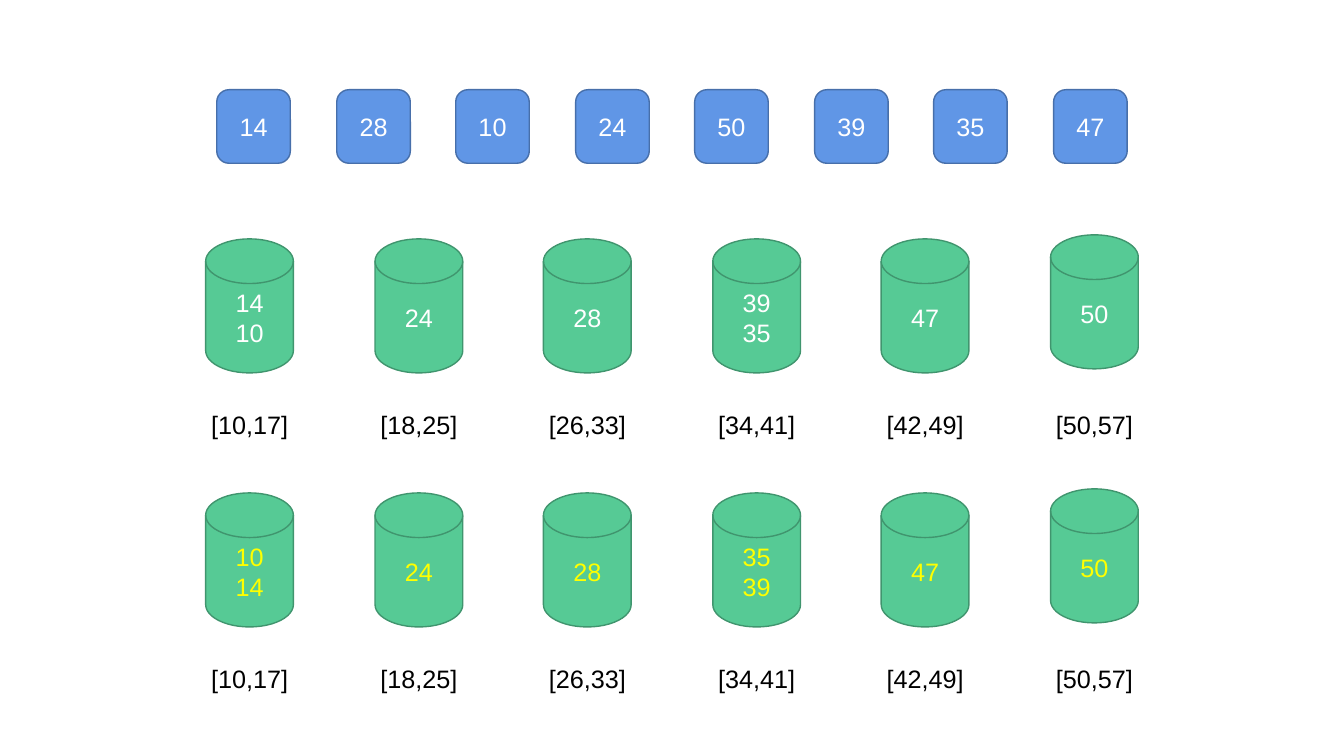
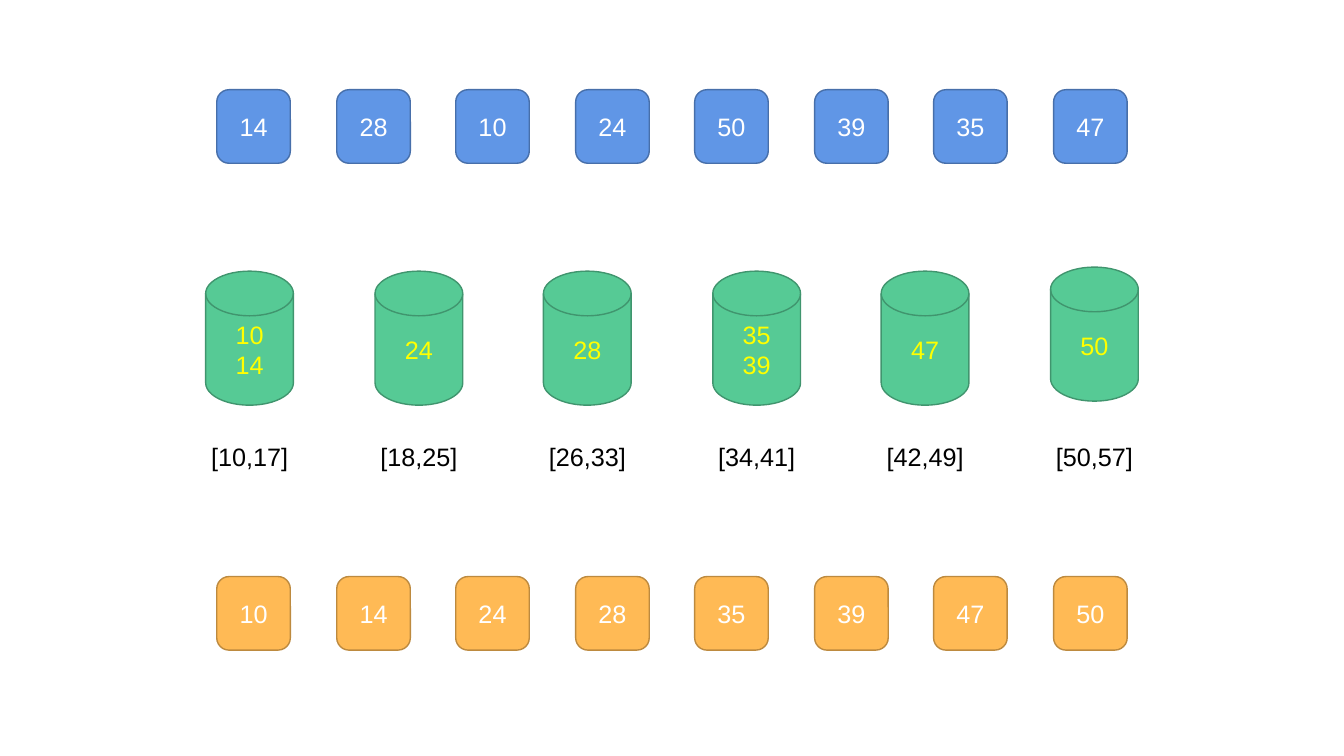
"""Build two slides that explain bucket sort."""
from dataclasses import dataclass

from pptx import Presentation
from pptx.dml.color import RGBColor
from pptx.enum.shapes import MSO_SHAPE
from pptx.enum.text import MSO_ANCHOR, PP_ALIGN
from pptx.slide import Slide
from pptx.text.text import TextFrame
from pptx.util import Emu, Pt

EMU_PER_PX = 9144
SLIDE_WIDTH, SLIDE_HEIGHT = 1333, 750
FONT_NAME, FONT_SIZE, LINE_WIDTH = "Arial", Pt(18), Pt(1)

COLORS = {
    "blue": "6096E6",
    "blue_line": "476FAA",
    "green": "56CA95",
    "green_line": "40956E",
    "orange": "FFBA55",
    "orange_line": "BD8A3F",
    "white": "FFFFFF",
    "yellow": "FFFF00",
    "black": "000000",
}

VALUES = [14, 28, 10, 24, 50, 39, 35, 47]
FIRST_VALUE, BUCKET_RANGE, BUCKET_COUNT = 10, 8, 6

INPUT_TOP, OUTPUT_TOP = 89, 572
LABEL_DROP, LABEL_WIDTH, LABEL_HEIGHT = 164, 105, 40
LAST_BUCKET_LIFT = 4


@dataclass(frozen=True)
class Track:
    """Equal shapes spread evenly between the first and last left edge."""

    kind: MSO_SHAPE
    first_left: int
    last_left: int
    count: int
    width: int
    height: int

    def left(self, index: int) -> int:
        """Return the left edge of one shape."""
        return self.first_left + round(index * (self.last_left - self.first_left) / (self.count - 1))


@dataclass(frozen=True)
class BucketRow:
    """A row of buckets, with its contents sorted or in order of arrival."""

    top: int
    is_sorted: bool


TILES = Track(MSO_SHAPE.ROUNDED_RECTANGLE, 215, 1045, len(VALUES), 73, 73)
BUCKETS = Track(MSO_SHAPE.FLOWCHART_MAGNETIC_DISK, 204, 1042, BUCKET_COUNT, 87, 133)


def px(length: int) -> Emu:
    """Turn px into EMU."""
    return Emu(length * EMU_PER_PX)


def color(name: str) -> RGBColor:
    """Look up a named colour."""
    return RGBColor.from_string(COLORS[name])


def write(text_frame: TextFrame, text: str, text_color: str) -> None:
    """Write centred text, one paragraph a line."""
    text_frame.text = text
    text_frame.word_wrap = True
    for paragraph in text_frame.paragraphs:
        paragraph.alignment = PP_ALIGN.CENTER
        for run in paragraph.runs:
            run.font.name = FONT_NAME
            run.font.size = FONT_SIZE
            run.font.color.rgb = color(text_color)


def add_item(slide: Slide, track: Track, index: int, top: int, text: str,
             fill: str, text_color: str) -> None:
    """Draw one filled shape of a track."""
    shape = slide.shapes.add_shape(
        track.kind, px(track.left(index)), px(top), px(track.width), px(track.height))
    shape.shadow.inherit = False
    shape.fill.solid()
    shape.fill.fore_color.rgb = color(fill)
    shape.line.color.rgb = color(f"{fill}_line")
    shape.line.width = LINE_WIDTH
    shape.text_frame.vertical_anchor = MSO_ANCHOR.MIDDLE
    write(shape.text_frame, text, text_color)


def add_tiles(slide: Slide, values: list[int], top: int, fill: str) -> None:
    """Draw a row of number tiles."""
    for index, value in enumerate(values):
        add_item(slide, TILES, index, top, str(value), fill, "white")


def add_buckets(slide: Slide, row: BucketRow) -> None:
    """Draw the buckets with their contents and range labels."""
    values = sorted(VALUES) if row.is_sorted else VALUES
    text_color = "yellow" if row.is_sorted else "white"
    for index in range(BUCKET_COUNT):
        low = FIRST_VALUE + index * BUCKET_RANGE
        high = low + BUCKET_RANGE - 1
        contents = "\n".join(str(value) for value in values if low <= value <= high)
        lift = LAST_BUCKET_LIFT if index == BUCKET_COUNT - 1 else 0
        add_item(slide, BUCKETS, index, row.top - lift, contents, "green", text_color)

        label_left = BUCKETS.left(index) - (LABEL_WIDTH - BUCKETS.width) // 2
        label = slide.shapes.add_textbox(
            px(label_left), px(row.top + LABEL_DROP), px(LABEL_WIDTH), px(LABEL_HEIGHT))
        write(label.text_frame, f"[{low},{high}]", "black")


def main() -> None:
    """Build and save the presentation."""
    presentation = Presentation()
    presentation.slide_width = px(SLIDE_WIDTH)
    presentation.slide_height = px(SLIDE_HEIGHT)
    blank_layout = presentation.slide_layouts[6]

    sorting_slide = presentation.slides.add_slide(blank_layout)
    add_tiles(sorting_slide, VALUES, INPUT_TOP, "blue")
    add_buckets(sorting_slide, BucketRow(237, is_sorted=False))
    add_buckets(sorting_slide, BucketRow(489, is_sorted=True))

    result_slide = presentation.slides.add_slide(blank_layout)
    add_tiles(result_slide, VALUES, INPUT_TOP, "blue")
    add_buckets(result_slide, BucketRow(269, is_sorted=True))
    add_tiles(result_slide, sorted(VALUES), OUTPUT_TOP, "orange")

    presentation.save("out.pptx")


if __name__ == "__main__":
    main()
